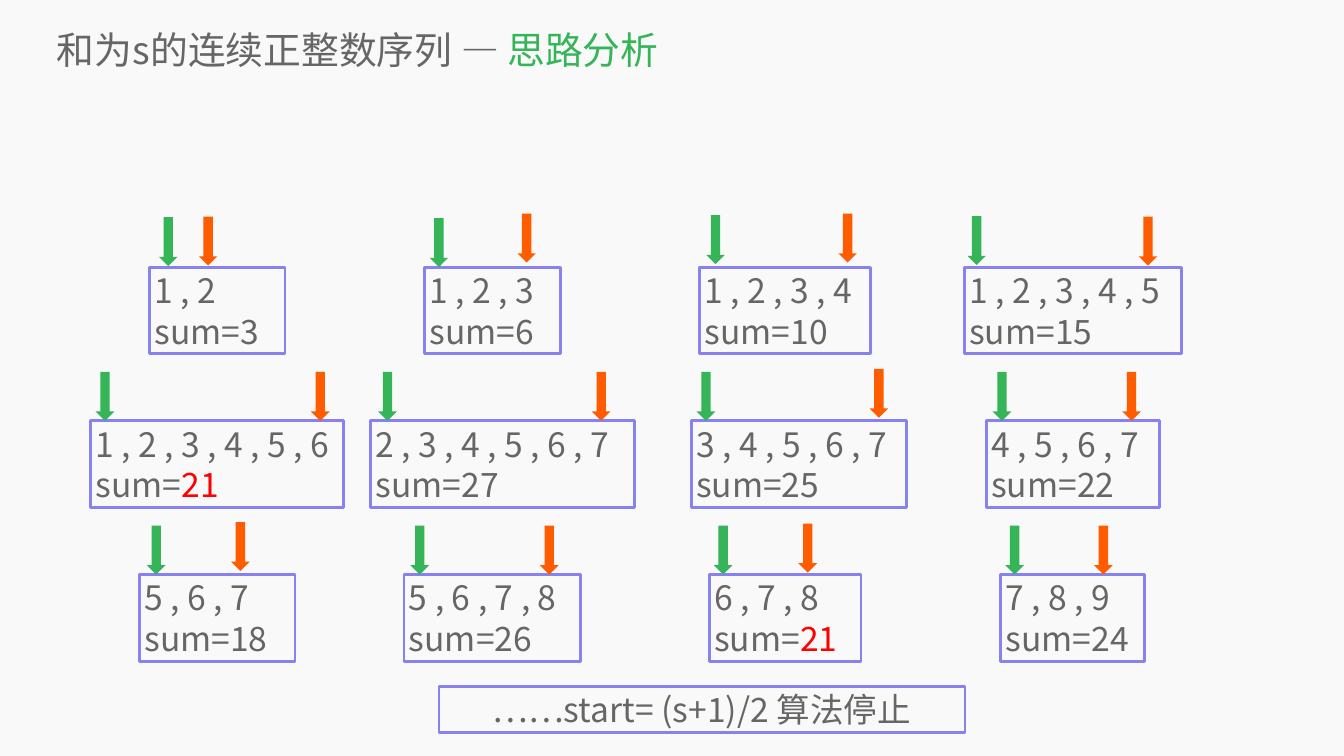
from dataclasses import dataclass

import pptx
import pptx.dml.color
import pptx.enum.shapes
import pptx.enum.text
import pptx.oxml
import pptx.oxml.ns
import pptx.util

COLORS = {
    "background": "F9F9F9",
    "text": "666666",
    "box": "8881F0",
    "start": "35B558",
    "end": "FF5C00",
    "match": "FF0000",
}
FONT = "Noto Sans CJK SC"
SLIDE_W, SLIDE_H = 26.67, 15
TARGET = 21
COL_X, COL_PITCH = 4.31, 5.66  # centre of the first column, distance to the next
ROW_Y, ROW_PITCH = 5.3, 3.05
BOX_H = 1.72
ARROW_W, ARROW_H = 0.37, 0.97
LINE_PT = 58

Shape = pptx.enum.shapes.MSO_SHAPE
Align = pptx.enum.text.PP_ALIGN
Anchor = pptx.enum.text.MSO_ANCHOR


@dataclass(frozen=True)
class Step:
    """One window first..last; start and end are arrow offsets from the box's left."""
    col: int
    row: int
    first: int
    last: int
    width: float
    start: float
    end: float
    shift: float = 0
    start_lift: float = 0
    end_lift: float = 0


STEPS = [
    Step(0, 0, 1, 2, 2.69, 0.19, 0.98, start_lift=0.02, end_lift=0.03),
    Step(1, 0, 1, 3, 2.69, 0.1, 1.84, shift=-0.2, end_lift=0.09),
    Step(2, 0, 1, 4, 3.39, 0.13, 2.75, shift=-0.05, start_lift=0.06, end_lift=0.09),
    Step(3, 0, 1, 5, 4.31, 0.06, 3.46, start_lift=0.04, end_lift=0.03),
    Step(0, 1, 1, 6, 5.02, 0.1, 4.37),
    Step(1, 1, 2, 7, 5.23, 0.15, 4.39),
    Step(2, 1, 3, 7, 4.27, 0.11, 3.54, shift=0.22, end_lift=0.06),
    Step(3, 1, 4, 7, 3.44, 0.13, 2.7),
    Step(0, 2, 5, 7, 3.09, 0.15, 1.82, end_lift=0.07),
    Step(1, 2, 5, 8, 3.51, 0.13, 2.7, shift=-0.2),
    Step(2, 2, 6, 8, 3.01, 0.09, 1.77, shift=-0.05, end_lift=0.04),
    Step(3, 2, 7, 9, 2.86, 0.09, 1.85),
]


def rgb(name: str):
    return pptx.dml.color.RGBColor.from_string(COLORS[name])


def place(sp, x: float, y: float, w: float, h: float) -> None:
    sp.left, sp.top, sp.width, sp.height = map(pptx.util.Inches, (x, y, w, h))


def write(p, parts: list[tuple[str, str]], size: int) -> None:
    """Fill a paragraph with (text, colour name) runs in the slide's font."""
    p.font.name, p.font.size = FONT, pptx.util.Pt(size)
    p.font.color.rgb = rgb("text")
    for text, color in parts:
        r = p.add_run()
        r.text = text
        if color != "text":
            r.font.color.rgb = rgb(color)
        ea = pptx.oxml.parse_xml(
            f'<a:ea {pptx.oxml.ns.nsdecls("a")} typeface="{FONT}"/>')
        r.font._element.append(ea)


def add_box(shapes, x: float, y: float, w: float, h: float,
            lines: list[list[tuple[str, str]]], align=Align.LEFT) -> None:
    sp = shapes.add_shape(Shape.RECTANGLE, 0, 0, 0, 0)
    place(sp, x, y, w, h)
    sp.shadow.inherit = False
    sp.fill.background()
    sp.line.color.rgb = rgb("box")
    sp.line.width = pptx.util.Pt(4)
    tf = sp.text_frame
    tf.word_wrap = True
    tf.vertical_anchor = Anchor.TOP
    for i, parts in enumerate(lines):
        p = tf.add_paragraph() if i else tf.paragraphs[0]
        p.alignment = align
        p.line_spacing = pptx.util.Pt(LINE_PT)
        write(p, parts, 48)


def add_arrow(shapes, x: float, bottom: float, color: str) -> None:
    sp = shapes.add_shape(Shape.DOWN_ARROW, 0, 0, 0, 0)
    place(sp, x, bottom - ARROW_H, ARROW_W, ARROW_H)
    sp.shadow.inherit = False
    sp.fill.solid()
    sp.fill.fore_color.rgb = rgb(color)
    sp.line.fill.background()


def add_step(s, step: Step) -> None:
    shapes = s.shapes.add_group_shape().shapes
    x = COL_X + step.col * COL_PITCH + step.shift - step.width / 2
    y = ROW_Y + step.row * ROW_PITCH
    numbers = range(step.first, step.last + 1)
    total = sum(numbers)
    if total == TARGET:
        sum_line = [("sum=", "text"), (str(total), "match")]
    else:
        sum_line = [(f"sum={total}", "text")]
    add_box(shapes, x, y, step.width, BOX_H,
            [[(" , ".join(map(str, numbers)), "text")], sum_line])
    add_arrow(shapes, x + step.start, y - step.start_lift, "start")
    add_arrow(shapes, x + step.end, y - step.end_lift, "end")


def add_title(s) -> None:
    sp = s.shapes.title
    place(sp, 1.13, 0.47, 25.16, 1.02)
    tf = sp.text_frame
    tf.margin_left = tf.margin_right = tf.margin_top = tf.margin_bottom = 0
    tf.vertical_anchor = Anchor.MIDDLE
    p = tf.paragraphs[0]
    p.alignment = Align.LEFT
    write(p, [("和为s的连续正整数序列 — ", "text"), ("思路分析", "start")], 54)


def main() -> None:
    prs = pptx.Presentation()
    prs.slide_width = pptx.util.Inches(SLIDE_W)
    prs.slide_height = pptx.util.Inches(SLIDE_H)
    s = prs.slides.add_slide(prs.slide_layouts[0])
    s.background.fill.solid()
    s.background.fill.fore_color.rgb = rgb("background")
    subtitle = s.placeholders[1].element
    subtitle.getparent().remove(subtitle)

    add_title(s)
    for step in STEPS:
        add_step(s, step)
    add_box(s.shapes, 8.71, 13.62, 10.44, 0.91,
            [[("……start= (s+1)/2 算法停止", "text")]], Align.CENTER)
    prs.save("out.pptx")


if __name__ == "__main__":
    main()
